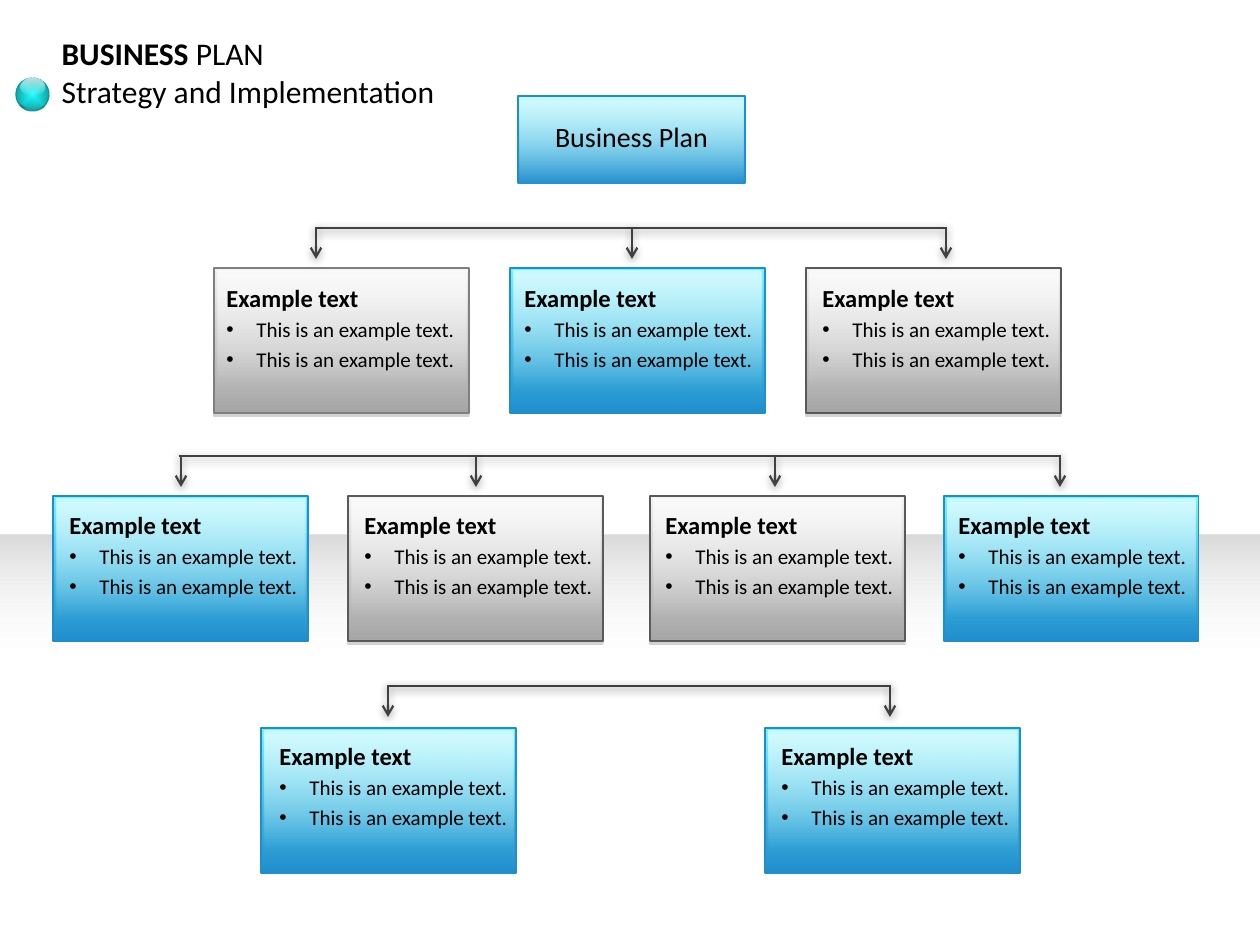
from lxml import etree
from pptx import Presentation
from pptx import util as u
from pptx.dml.color import RGBColor
from pptx.enum import shapes, text
from pptx.oxml import ns

PX = 914400 // 126
FONT = "Calibri"
COLORS = {
    "black": "000000", "white": "FFFFFF", "cream": "FFFCF9", "floor": "D9D9D9",
    "aqua": "74F4FF", "blue": "208ECD", "silver": "F2F2F2", "steel": "A6A6A6",
    "edge": "595959", "soft_edge": "7F7F7F", "arrow": "404040",
    "box_shadow": "808080", "orb": "1DFDFF", "orb_rim": "0C9799",
}
# Box style: top colour, bottom colour, edge, has shadow
STYLES = {
    "blue": ("aqua", "blue", "blue", False),
    "grey": ("silver", "steel", "edge", True),
    "soft": ("silver", "steel", "soft_edge", True),
}
GLOSS = [(0, "white", 61), (10, "white", 55), (100, "white", 0)]
BOX_W, BOX_H = 255, 145
# Each level: bar y, bar ends, arrow xs, box top, text top,
# boxes as (left, text left, style)
LEVELS = [
    (228, (315, 945), (316, 632, 946), 268, 277,
     [(214, 214, "soft"), (510, 512, "blue"), (806, 810, "grey")]),
    (456, (179, 1061), (181, 476, 775, 1060), 496, 504,
     [(53, 57, "blue"), (348, 352, "grey"), (650, 653, "grey"), (944, 946, "blue")]),
    (686, (387, 891), (388, 890), 728, 735,
     [(261, 267, "blue"), (765, 769, "blue")]),
]


def px(*lengths):
    return [u.Emu(round(n * PX)) for n in lengths]


def rgb(name):
    return RGBColor.from_string(COLORS[name])


def sub(parent, tag, **attrs):
    return etree.SubElement(parent, ns.qn(tag), {k: str(v) for k, v in attrs.items()})


def add_color(parent, name, alpha=100):
    color = sub(parent, "a:srgbClr", val=COLORS[name])
    if alpha < 100:
        sub(color, "a:alpha", val=alpha * 1000)


def set_gradient(shape, stops, angle):
    """Fill with (position, colour, alpha) stops; no angle means radial."""
    shape.fill.background()
    sppr = shape._element.spPr
    grad = etree.Element(ns.qn("a:gradFill"), rotWithShape="1")
    sppr.replace(sppr.find(ns.qn("a:noFill")), grad)
    stop_list = sub(grad, "a:gsLst")
    for position, name, alpha in stops:
        add_color(sub(stop_list, "a:gs", pos=position * 1000), name, alpha)
    if angle is None:
        center = sub(grad, "a:path", path="shape")
        sub(center, "a:fillToRect", l=50000, t=50000, r=50000, b=50000)
    else:
        sub(grad, "a:lin", ang=angle * 60000, scaled=0)


def add_shadow(effects, name, alpha, blur, distance):
    shadow = sub(effects, "a:outerShdw", blurRad=u.Pt(blur), dist=u.Pt(distance),
                 dir=5400000, algn="t", rotWithShape=0)
    add_color(shadow, name, alpha)


def add_panel(slide, kind, box, stops, angle=90, edge=None, shadow=False):
    panel = slide.shapes.add_shape(kind, *px(*box))
    set_gradient(panel, stops, angle)
    if edge:
        panel.line.color.rgb = rgb(edge)
        panel.line.width = u.Pt(0.75)
    else:
        panel.line.fill.background()
    panel.shadow.inherit = False
    if shadow:
        effects = panel._element.spPr.find(ns.qn("a:effectLst"))
        add_shadow(effects, "box_shadow", 35, 0, 1.8)
    return panel


def add_glossy_box(slide, box, gloss, style):
    top, bottom, edge, shadow = STYLES[style]
    rect = shapes.MSO_SHAPE.RECTANGLE
    add_panel(slide, rect, box, [(0, top, 100), (100, bottom, 100)],
              edge=edge, shadow=shadow)
    add_panel(slide, rect, gloss, GLOSS, shadow=True)


def add_line(slide, x1, y1, x2, y2, width, arrow=False):
    line = slide.shapes.add_connector(shapes.MSO_CONNECTOR.STRAIGHT, *px(x1, y1, x2, y2))
    line.line.color.rgb = rgb("arrow")
    line.line.width = u.Pt(width)
    if arrow:
        sub(line.line._get_or_add_ln(), "a:tailEnd", type="arrow")
    add_shadow(sub(line._element.spPr, "a:effectLst"), "black", 38, 5, 1.6)


def add_run(paragraph, words, size, bold=False):
    run = paragraph.add_run()
    run.text = words
    run.font.name, run.font.size, run.font.bold = FONT, u.Pt(size), bold
    run.font.color.rgb = rgb("black")


def add_text_frame(slide, box):
    frame = slide.shapes.add_textbox(*px(*box)).text_frame
    frame.word_wrap = True
    frame.auto_size = text.MSO_AUTO_SIZE.SHAPE_TO_FIT_TEXT
    return frame


def add_example(slide, left, top):
    frame = add_text_frame(slide, (left, top, 262, 134))
    heading = frame.paragraphs[0]
    heading.space_before = u.Pt(2.8)
    add_run(heading, "Example text", 14, bold=True)
    for _ in range(2):
        item = frame.add_paragraph()
        item.space_before = u.Pt(2.4)
        props = item._p.get_or_add_pPr()
        props.set("marL", str(px(30)[0]))
        props.set("indent", str(px(-30)[0]))
        sub(props, "a:buFont", typeface="Arial")
        sub(props, "a:buChar", char="•")
        add_run(item, "This is an example text.", 12)


def add_level(slide, bar_y, bar_ends, arrow_xs, box_top, text_top, boxes):
    add_line(slide, bar_ends[0], bar_y, bar_ends[1], bar_y, 1.5)
    for x in arrow_xs:
        add_line(slide, x, bar_y - 1, x, bar_y + 31, 1.25, arrow=True)
    for left, text_left, style in boxes:
        add_glossy_box(slide, (left, box_top, BOX_W, BOX_H),
                       (left + 4, box_top + 3, 248, 118), style)
        add_example(slide, text_left, text_top)


def add_title(slide):
    title = slide.shapes.title
    title.left, title.top, title.width, title.height = px(49, 28, 402, 89)
    frame = title.text_frame
    frame.auto_size = text.MSO_AUTO_SIZE.NONE
    frame.vertical_anchor = text.MSO_ANCHOR.TOP
    first, second = frame.paragraphs[0], frame.add_paragraph()
    first.alignment = second.alignment = text.PP_ALIGN.LEFT
    add_run(first, "BUSINESS", 18, bold=True)
    add_run(first, " PLAN", 18)
    add_run(second, "Strategy and Implementation", 18)


def add_orb(slide):
    oval = shapes.MSO_SHAPE.OVAL
    ball = add_panel(slide, oval, (16, 78, 33, 33),
                     [(0, "orb", 100), (100, "orb_rim", 100)], None, edge="orb_rim")
    ball.rotation = 350.9
    add_panel(slide, oval, (21, 78, 24, 18),
              [(0, "white", 0), (100, "cream", 77)], 270)
    shade = add_panel(slide, shapes.MSO_SHAPE.MOON, (25, 87, 15, 33),
                      [(24, "black", 24), (100, "white", 0)], None)
    shade.adjustments[0] = 0.19
    shade.rotation = 275.9


def main():
    deck = Presentation()
    deck.slide_width, deck.slide_height = px(1260, 945)
    slide = deck.slides.add_slide(deck.slide_layouts[5])

    # Floor
    add_panel(slide, shapes.MSO_SHAPE.RECTANGLE, (0, 535, 1260, 328),
              [(0, "floor", 100), (39, "white", 0), (100, "white", 0)])

    # Root of the chart
    add_glossy_box(slide, (518, 96, 227, 87), (520, 98, 223, 87), "blue")
    root = add_text_frame(slide, (529, 113, 205, 47)).paragraphs[0]
    root.alignment = text.PP_ALIGN.CENTER
    add_run(root, "Business Plan", 16)

    # Levels below the root
    for level in LEVELS:
        add_level(slide, *level)

    # Heading
    add_title(slide)
    add_orb(slide)
    deck.save("out.pptx")


main()
